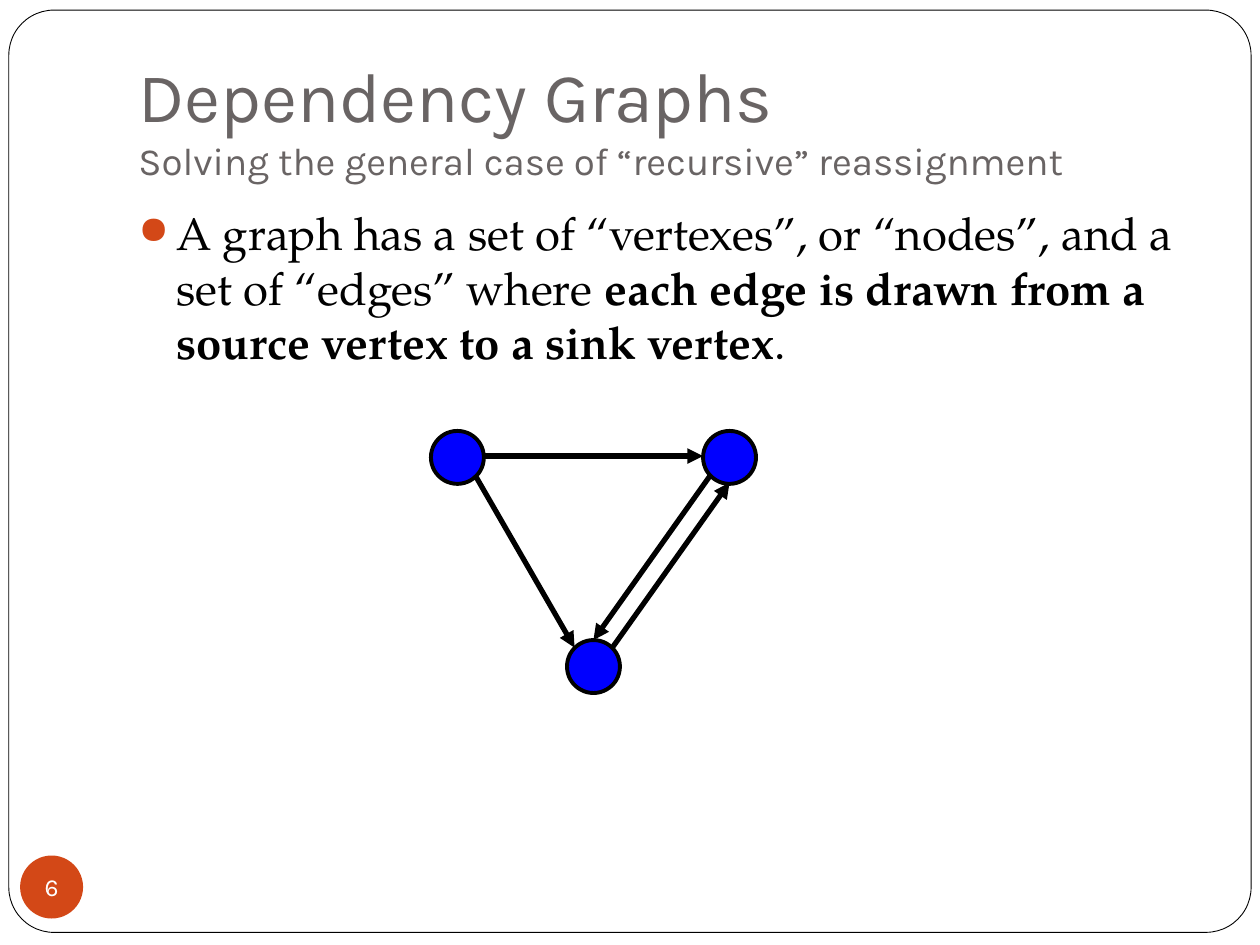
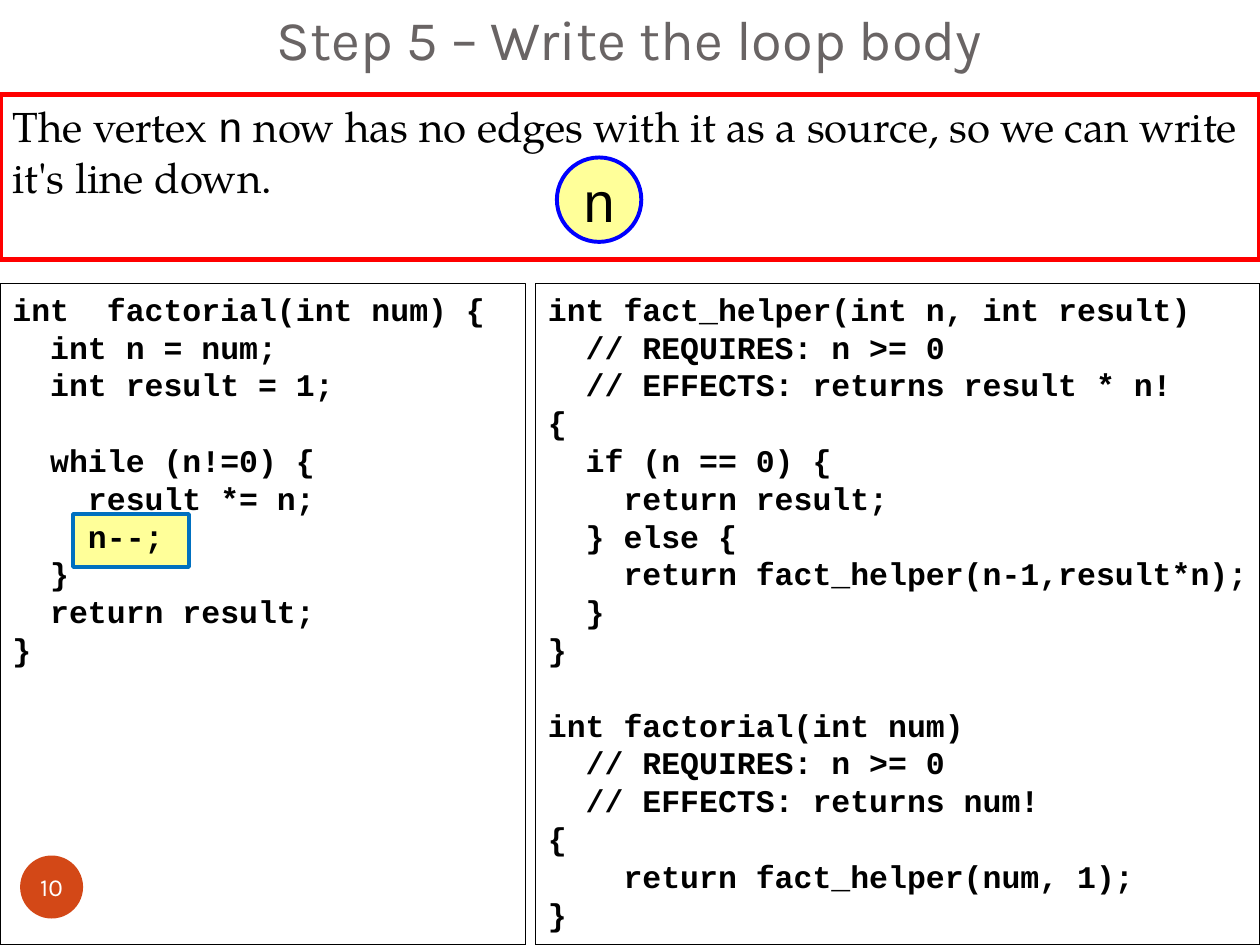
from lxml.etree import SubElement
from pptx import Presentation
from pptx.dml.color import RGBColor
from pptx.enum.shapes import MSO_CONNECTOR, MSO_SHAPE
from pptx.enum.text import MSO_ANCHOR, PP_ALIGN
from pptx.oxml.ns import qn
from pptx.util import Inches, Pt

COLOURS = {
    "black": "000000", "white": "FFFFFF", "title": "696464", "accent": "D34817",
    "vertex": "0000FF", "highlight": "FFFF99", "code_mark": "0070C0", "notice": "FF0000",
}
HEADING, BODY, CODE = "Karla", "TeX Gyre Pagella", "Courier New"
TEXT_INSETS = (0.1, 0.05, 0.1, 0.05)
TITLE_INSETS = (0.1, 0.05, 0.1, 0.1)
NO_INSETS = (0, 0, 0, 0)
CODE_INDENT = 0.3
CODE_GAP = 21.6
VERTEX_SIZE = 0.42

FACTORIAL_LOOP = [
    (0, "int  factorial(int num) {"),
    (1, "int n = num;"),
    (1, "int result = 1;"),
    None,
    (1, "while (n!=0) {"),
    (2, "result *= n;"),
    (2, "n--;"),
    (1, "}"),
    (1, "return result;"),
    (0, "}"),
]
FACTORIAL_RECURSION = [
    (0, "int fact_helper(int n, int result)"),
    (1, "// REQUIRES: n >= 0"),
    (1, "// EFFECTS: returns result * n!"),
    (0, "{"),
    (1, "if (n == 0) {"),
    (2, "return result;"),
    (1, "} else {"),
    (2, "return fact_helper(n-1,result*n);"),
    (1, "}"),
    (0, "}"),
    None,
    (0, "int factorial(int num)"),
    (1, "// REQUIRES: n >= 0"),
    (1, "// EFFECTS: returns num!"),
    (0, "{"),
    (2, "return fact_helper(num, 1);"),
    (0, "}"),
]


def colour(name):
    return RGBColor.from_string(COLOURS[name])


def add_run(paragraph, text, size, font=BODY, color="black", bold=False):
    run = paragraph.add_run()
    run.text = text
    run.font.size = Pt(size)
    run.font.name = font
    run.font.bold = bold
    run.font.color.rgb = colour(color)


def set_frame(shape, insets=TEXT_INSETS, anchor=MSO_ANCHOR.TOP, align=PP_ALIGN.LEFT, wrap=True):
    frame = shape.text_frame
    frame.word_wrap = wrap
    frame.vertical_anchor = anchor
    frame.margin_left, frame.margin_top, frame.margin_right, frame.margin_bottom = map(Inches, insets)
    paragraph = frame.paragraphs[0]
    paragraph.alignment = align
    return paragraph


def add_box(slide, kind, bounds, fill=None, line=None, width=0.75):
    shape = slide.shapes.add_shape(kind, *map(Inches, bounds))
    shape.shadow.inherit = False
    if fill:
        shape.fill.solid()
        shape.fill.fore_color.rgb = colour(fill)
    else:
        shape.fill.background()
    if line:
        shape.line.color.rgb = colour(line)
        shape.line.width = Pt(width)
    else:
        shape.line.fill.background()
    return shape


def add_title(slide, bounds, text, size, subtitle=None, align=PP_ALIGN.LEFT):
    shape = slide.shapes.add_textbox(*map(Inches, bounds))
    paragraph = set_frame(shape, TITLE_INSETS, MSO_ANCHOR.BOTTOM, align)
    add_run(paragraph, text, size, HEADING, "title")
    if subtitle:
        paragraph.add_line_break()
        add_run(paragraph, subtitle, 22, HEADING, "title")


def add_page_number(slide, number):
    badge = add_box(slide, MSO_SHAPE.OVAL, (0.16, 6.79, 0.5, 0.5), "accent")
    paragraph = set_frame(badge, NO_INSETS, MSO_ANCHOR.MIDDLE, PP_ALIGN.CENTER, False)
    add_run(paragraph, str(number), 14, HEADING, "white")


def set_indent(paragraph, left, first=0):
    properties = paragraph._p.get_or_add_pPr()
    properties.set("marL", str(Inches(left)))
    properties.set("indent", str(Inches(first)))
    return properties


def add_bullet(paragraph):
    paragraph.space_before = Pt(5.8)
    properties = set_indent(paragraph, 0.3, -0.3)
    bullet_colour = SubElement(properties, qn("a:buClr"))
    SubElement(bullet_colour, qn("a:srgbClr"), val=COLOURS["accent"])
    SubElement(properties, qn("a:buSzPct"), val="85000")
    SubElement(properties, qn("a:buChar"), char="●")


def add_edge(slide, source, sink):
    edge = slide.shapes.add_connector(MSO_CONNECTOR.STRAIGHT, *map(Inches, source + sink))
    edge.line.color.rgb = colour("black")
    edge.line.width = Pt(3)
    SubElement(edge.line._get_or_add_ln(), qn("a:tailEnd"), type="triangle")
    SubElement(edge._element.spPr, qn("a:effectLst"))


def add_code(slide, bounds, lines):
    box = add_box(slide, MSO_SHAPE.RECTANGLE, bounds, line="black")
    paragraph = set_frame(box)
    gap = 0
    for index, line in enumerate(lines):
        if line is None:
            gap = CODE_GAP
            continue
        level, text = line
        if index:
            paragraph = box.text_frame.add_paragraph()
            paragraph.alignment = PP_ALIGN.LEFT
        paragraph.space_before = Pt(gap)
        gap = 0
        set_indent(paragraph, level * CODE_INDENT)
        add_run(paragraph, text, 18, CODE, bold=True)


def build_graph_slide(slide):
    border = add_box(slide, MSO_SHAPE.ROUNDED_RECTANGLE, (0.07, 0.08, 9.86, 7.32), "white", "black", 0.5)
    border.adjustments[0] = 0.049
    add_title(slide, (1, 0.3, 8.5, 1.25), "Dependency Graphs", 40,
              "Solving the general case of “recursive” reassignment")
    body = slide.shapes.add_textbox(*map(Inches, (1, 1.58, 8.5, 5)))
    paragraph = set_frame(body)
    add_bullet(paragraph)
    add_run(paragraph, "A graph has a set of “vertexes”, or “nodes”, and a set of “edges” where ", 26)
    add_run(paragraph, "each edge is drawn from a source vertex to a sink vertex", 26, bold=True)
    add_run(paragraph, ".", 26)
    add_page_number(slide, 6)
    for left, top in ((3.42, 3.42), (5.58, 3.42), (4.5, 5.08)):
        add_box(slide, MSO_SHAPE.OVAL, (left, top, VERTEX_SIZE, VERTEX_SIZE), "vertex", "black", 2.25)
    for source, sink in (
        ((3.83, 3.62), (5.58, 3.62)),
        ((3.77, 3.77), (4.56, 5.14)),
        ((5.64, 3.77), (4.71, 5.08)),
        ((4.86, 5.14), (5.79, 3.83)),
    ):
        add_edge(slide, source, sink)


def build_loop_slide(slide):
    add_box(slide, MSO_SHAPE.RECTANGLE, (0.58, 4.08, 0.92, 0.42), "highlight", "code_mark", 2.25)
    add_code(slide, (4.25, 2.25, 5.75, 5.25), FACTORIAL_RECURSION)
    add_code(slide, (0, 2.25, 4.17, 5.25), FACTORIAL_LOOP)
    add_title(slide, (0, 0, 10, 0.67), "Step 5 – Write the loop body", 32, align=PP_ALIGN.CENTER)
    notice = add_box(slide, MSO_SHAPE.RECTANGLE, (0, 0.75, 10, 1.31), line="notice", width=3)
    paragraph = set_frame(notice)
    add_run(paragraph, "The vertex ", 24)
    add_run(paragraph, "n", 24, CODE)
    add_run(paragraph, " now has no edges with it as a source, so we can write it's line down.", 24)
    add_page_number(slide, 10)
    vertex = add_box(slide, MSO_SHAPE.OVAL, (4.42, 1.25, 0.67, 0.67), "highlight", "vertex", 2.25)
    add_run(set_frame(vertex, NO_INSETS, MSO_ANCHOR.MIDDLE, PP_ALIGN.CENTER), "n", 32, CODE)


def main():
    presentation = Presentation()
    presentation.slide_width = Inches(10)
    presentation.slide_height = Inches(7.5)
    for build in (build_graph_slide, build_loop_slide):
        build(presentation.slides.add_slide(presentation.slide_layouts[6]))
    presentation.save("out.pptx")


main()
